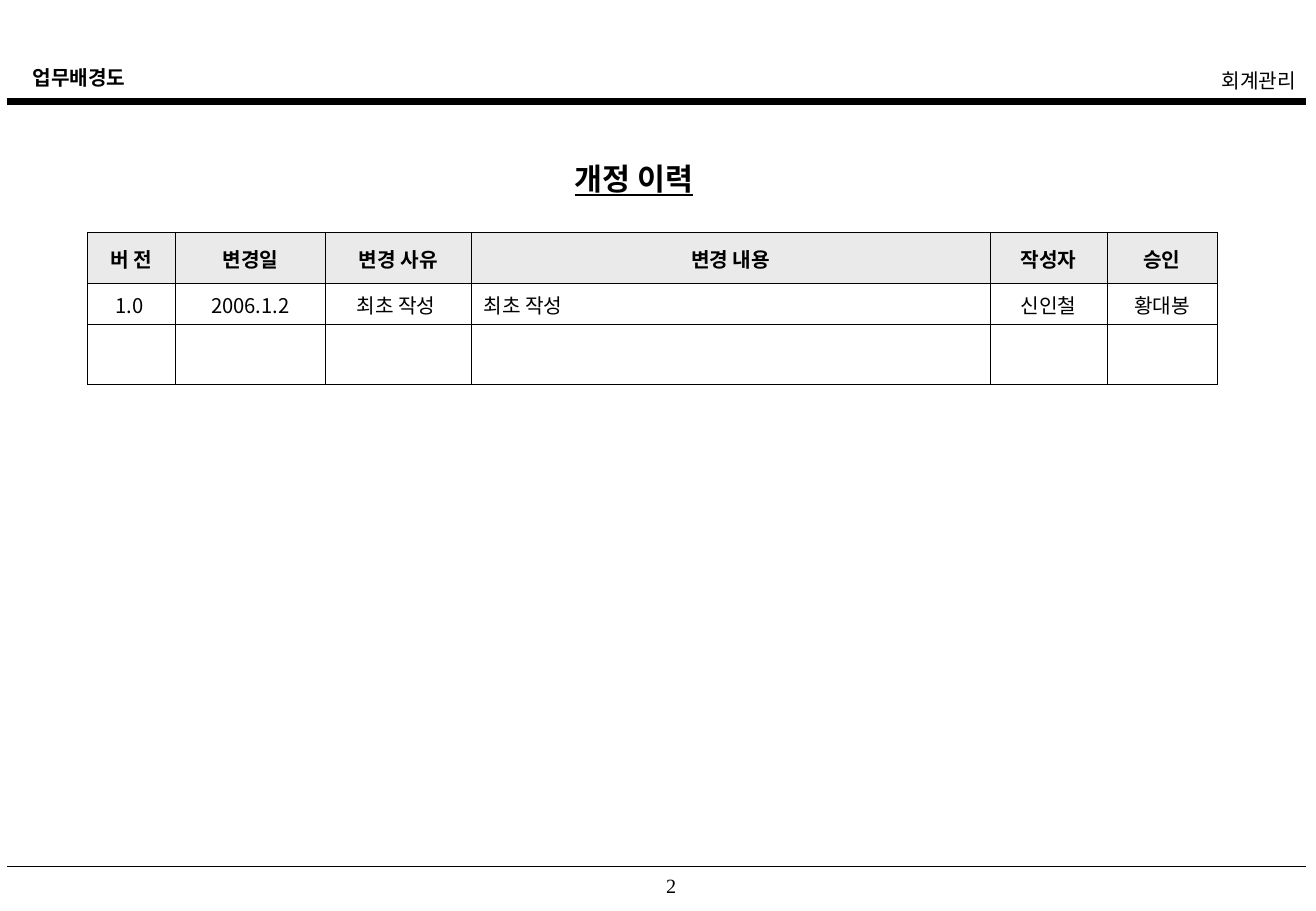
from pptx import Presentation
from pptx.util import Pt
from pptx.dml.color import RGBColor as Rgb
from pptx.enum.shapes import MSO_CONNECTOR as Conn
from pptx.enum.text import PP_ALIGN as Align, MSO_ANCHOR as Anchor
from pptx.oxml.ns import qn
from lxml.etree import SubElement as Sub, Element

INK = {"text": "000000", "head": "EAEAEA"}
SANS, SERIF = "Noto Sans CJK KR", "Times New Roman"
LEFT, MID, RIGHT = Align.LEFT, Align.CENTER, Align.RIGHT

labels = [
    ("업무배경도", (12.2, 35.3, 313.2, 21.6), LEFT, 7.2, SANS, 12, True, False),
    ("회계관리", (437.8, 36.7, 337.9, 21.6), RIGHT, 7.2, SANS, 12, False, False),
    ("개정 이력 ", (333.7, 91.4, 110.2, 28.8), LEFT, 7.2, SANS, 18, True, True),
    ("2", (361.2, 514.4, 56.2, 19.4), MID, 24.5, SERIF, 12, False, False),
]
rules = [(60.2, 4.5), (513.6, 1)]
rows = [
    ("버 전", "변경일", "변경 사유", "변경 내용", "작성자", "승인"),
    ("1.0 ", "2006.1.2", "최초 작성 ", "최초 작성 ", "신인철", "황대봉"),
    ("",) * 6,
]
widths = (52.1, 88.9, 86.6, 307.7, 69.3, 65.3)
heights = (30.2, 24.3, 35.6)
notes = 3

prs = Presentation()
prs.slide_width, prs.slide_height = Pt(780.48), Pt(540)
slide = prs.slides.add_slide(prs.slide_layouts[6])
shapes = slide.shapes


def style(para, align, face, size, bold=False, under=False):
    para.alignment = align
    for run in para.runs:
        font = run.font
        font.name, font.size, font.bold = face, Pt(size), bold
        font.underline = under
        font.color.rgb = Rgb.from_string(INK["text"])
        Sub(run._r.get_or_add_rPr(), qn("a:ea"), typeface=face)


def border(cell, width):
    props = cell._tc.get_or_add_tcPr()
    for i, side in enumerate("LRTB"):
        line = Element(qn("a:ln" + side), w=str(Pt(width)))
        fill = Sub(line, qn("a:solidFill"))
        Sub(fill, qn("a:srgbClr"), val=INK["text"])
        props.insert(i, line)


for y, weight in rules:
    rule = shapes.add_connector(Conn.STRAIGHT, Pt(4.4), Pt(y), Pt(774.8), Pt(y))
    rule.line.width = Pt(weight)
    rule.line.color.rgb = Rgb.from_string(INK["text"])
    Sub(rule._element.spPr, qn("a:effectLst"))

for text, place, align, inset, *look in labels:
    frame = shapes.add_textbox(*map(Pt, place)).text_frame
    frame.word_wrap = True
    frame.margin_left = Pt(inset)
    para = frame.paragraphs[0]
    para.text = text.rstrip()
    style(para, align, *look)

grid = shapes.add_table(len(rows), len(widths), Pt(52), Pt(138),
                        Pt(sum(widths)), Pt(sum(heights))).table
for col, width in zip(grid.columns, widths):
    col.width = Pt(width)
for r, (row, height) in enumerate(zip(rows, heights)):
    grid.rows[r].height = Pt(height)
    for c, text in enumerate(row):
        cell = grid.cell(r, c)
        cell.text = text
        cell.vertical_anchor = Anchor.MIDDLE
        if r == 0:
            cell.fill.solid()
            cell.fill.fore_color.rgb = Rgb.from_string(INK["head"])
        else:
            cell.fill.background()
        border(cell, 0.45)
        align = LEFT if r and c == notes else MID
        style(cell.text_frame.paragraphs[0], align, SANS, 12, r == 0)

prs.save("out.pptx")
